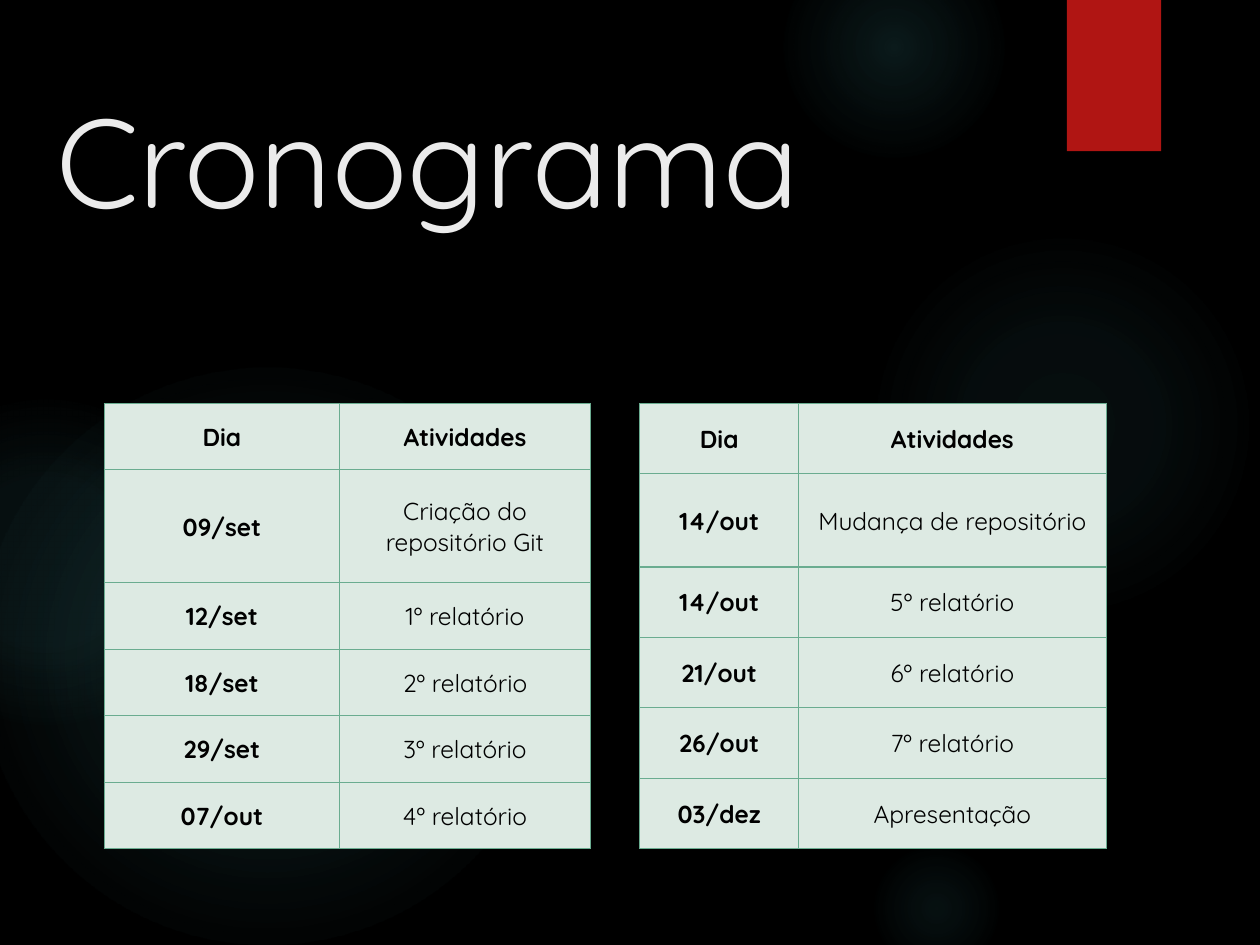
from pptx import Presentation
from pptx.dml.color import RGBColor
from pptx.enum.shapes import MSO_SHAPE as Shape
from pptx.enum.text import MSO_ANCHOR as Anchor, PP_ALIGN as Align
from pptx.oxml import parse_xml
from pptx.oxml.ns import nsdecls
from pptx.util import Cm, Pt

COLORS = {
    "background": "000000",
    "glow": "50B9C1",
    "ribbon": "B01513",
    "title": "EBEBEB",
    "text": "000000",
    "cell": "DDEAE3",
    "border": "6AAC90",
}

GLOWS = [
    (17.5, 4.65, 7.82, [(0, 7), (36, 6), (69, 0)]),
    (15.8, -1.27, 4.45, [(0, 14), (36, 7), (73, 0)]),
    (17.5, 16.94, 2.75, [(0, 9), (36, 5), (66, 0)]),
    (-0.43, 7.42, 11.63, [(0, 11), (36, 10), (75, 0)]),
    (-2.34, 8.05, 6.55, [(0, 8), (36, 8), (72, 0)]),
]

SEPTEMBER = [
    ("Dia", "Atividades"),
    ("09/set", "Criação do repositório Git"),
    ("12/set", "1º relatório"),
    ("18/set", "2º relatório"),
    ("29/set", "3º relatório"),
    ("07/out", "4º relatório"),
]

OCTOBER = [
    ("Dia", "Atividades"),
    ("14/out", "Mudança de repositório"),
    ("14/out", "5º relatório"),
    ("21/out", "6º relatório"),
    ("26/out", "7º relatório"),
    ("03/dez", "Apresentação"),
]


class Deck:
    """Holds the style and the current slide, and draws each kind of element."""

    font = "Quicksand"

    def __init__(self, prs):
        self.s = prs.slides.add_slide(prs.slide_layouts[6])
        self.fill(self.s.background.fill, "background")

    def fill(self, fill, color):
        fill.solid()
        fill.fore_color.rgb = RGBColor.from_string(COLORS[color])

    def format(self, p, size, color, bold=False):
        for r in p.runs:
            r.font.name = self.font
            r.font.size = Pt(size)
            r.font.bold = bold
            r.font.color.rgb = RGBColor.from_string(COLORS[color])

    def shape(self, kind, x, y, w, h):
        sp = self.s.shapes.add_shape(kind, Cm(x), Cm(y), Cm(w), Cm(h))
        sp.shadow.inherit = False
        sp.line.fill.background()
        return sp

    def glow(self, x, y, size, stops):
        sp = self.shape(Shape.OVAL, x, y, size, size)
        gs = "".join(
            f'<a:gs pos="{pos * 1000}"><a:srgbClr val="{COLORS["glow"]}">'
            f'<a:alpha val="{alpha * 1000}"/></a:srgbClr></a:gs>'
            for pos, alpha in stops
        )
        grad = parse_xml(
            f'<a:gradFill {nsdecls("a")} rotWithShape="1"><a:gsLst>{gs}</a:gsLst>'
            '<a:path path="circle"><a:fillToRect l="50000" t="50000" r="50000" b="50000"/>'
            "</a:path></a:gradFill>"
        )
        sp.element.spPr.insert(2, grad)

    def ribbon(self, x, y, w, h):
        self.fill(self.shape(Shape.RECTANGLE, x, y, w, h).fill, "ribbon")

    def title(self, text, x, y, w, h):
        tf = self.s.shapes.add_textbox(Cm(x), Cm(y), Cm(w), Cm(h)).text_frame
        tf.word_wrap = True
        tf.vertical_anchor = Anchor.BOTTOM
        tf.text = text
        self.format(tf.paragraphs[0], 72, "title")

    def borders(self, cell):
        tcPr = cell._tc.get_or_add_tcPr()
        for side in "LRTB":
            tcPr.append(parse_xml(
                f'<a:ln{side} {nsdecls("a")} w="{Pt(0.75)}"><a:solidFill>'
                f'<a:srgbClr val="{COLORS["border"]}"/></a:solidFill></a:ln{side}>'
            ))

    def cell(self, cell, text, bold):
        cell.text = text
        cell.vertical_anchor = Anchor.MIDDLE
        cell.margin_left = cell.margin_right = cell.margin_top = Cm(0.02)
        cell.margin_bottom = 0
        p = cell.text_frame.paragraphs[0]
        p.alignment = Align.CENTER
        self.format(p, 14, "text", bold)
        self.borders(cell)
        self.fill(cell.fill, "cell")

    def table(self, data, x, y, widths, height, tall):
        heights = [tall if i == 1 else height for i in range(len(data))]
        frame = self.s.shapes.add_table(
            len(data), len(widths), Cm(x), Cm(y), Cm(sum(widths)), Cm(sum(heights))
        )
        table = frame.table
        for column, width in zip(table.columns, widths):
            column.width = Cm(width)
        for i, texts in enumerate(data):
            table.rows[i].height = Cm(heights[i])
            for j, text in enumerate(texts):
                self.cell(table.cell(i, j), text, bold=i == 0 or j == 0)


def main():
    prs = Presentation()
    prs.slide_width, prs.slide_height = Cm(25.4), Cm(19.05)
    deck = Deck(prs)
    for glow in GLOWS:
        deck.glow(*glow)
    deck.ribbon(21.51, 0, 1.9, 3.05)
    deck.title("Cronograma", 0.89, 0.74, 21.59, 4.09)
    deck.table(SEPTEMBER, 2.1, 8.13, [4.75, 5.05], 1.34, 2.28)
    deck.table(OCTOBER, 12.9, 8.13, [3.2, 6.2], 1.42, 1.88)
    prs.save("out.pptx")


if __name__ == "__main__":
    main()
